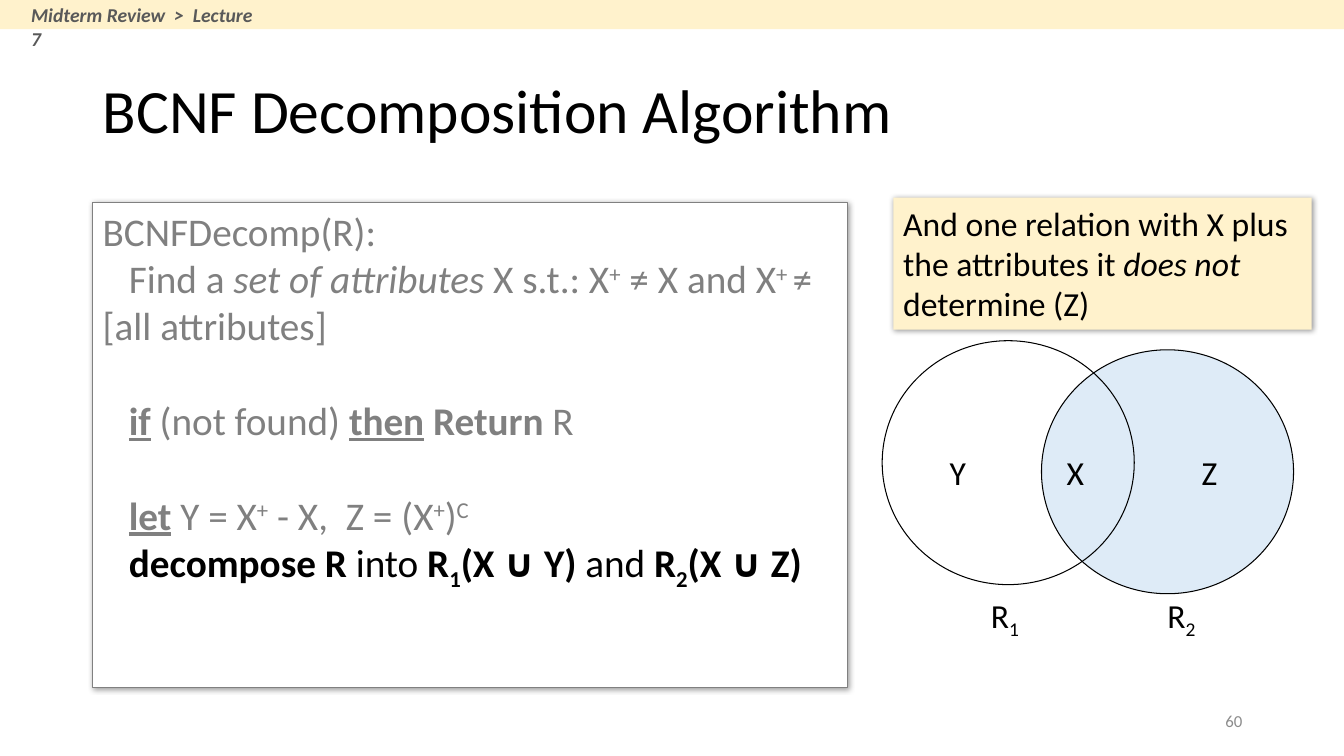
import dataclasses
import typing

import lxml.etree
import pptx
import pptx.dml.color
import pptx.enum.shapes
import pptx.enum.text
import pptx.oxml.ns
import pptx.util

Inches = pptx.util.Inches
Pt = pptx.util.Pt
RGBColor = pptx.dml.color.RGBColor
Kind = pptx.enum.shapes.MSO_SHAPE
Align = pptx.enum.text.PP_ALIGN
Anchor = pptx.enum.text.MSO_ANCHOR

BLACK = RGBColor(0x00, 0x00, 0x00)
WHITE = RGBColor(0xFF, 0xFF, 0xFF)
GRAY = RGBColor(0x80, 0x80, 0x80)
PALE = RGBColor(0x8C, 0x8C, 0x8C)
DARK = RGBColor(0x59, 0x59, 0x59)
CREAM = RGBColor(0xFF, 0xF2, 0xCC)
BLUE = RGBColor(0xDE, 0xEB, 0xF7)

BOLD = {"bold": True}
ITALIC = {"italic": True}
KEY = {"bold": True, "underline": True}
SUPER, SUB = 30, -25


@dataclasses.dataclass
class Run:
    text: str
    form: dict[str, typing.Any] = dataclasses.field(default_factory=dict)
    base: int = 0


@dataclasses.dataclass
class Line:
    runs: list[Run]
    color: RGBColor = BLACK
    indent: float = 0
    before: float = 0
    align: Align = Align.LEFT


@dataclasses.dataclass
class Form:
    kind: Kind
    box: tuple[float, float, float, float]
    fill: RGBColor | None = None
    edge: RGBColor | None = None
    shadow: bool = False
    size: float = 24
    lines: list[Line] = dataclasses.field(default_factory=list)


@dataclasses.dataclass
class Label:
    box: tuple[float, float, float, float]
    line: Line
    size: float = 24
    wrap: bool = False
    anchor: Anchor = Anchor.TOP


def write(frame, lines: list[Line], size: float) -> None:
    for n, line in enumerate(lines):
        para = frame.paragraphs[0] if n == 0 else frame.add_paragraph()
        para.alignment = line.align
        if line.before:
            para.space_before = Pt(line.before)
        if line.indent:
            para._p.get_or_add_pPr().set("indent", str(Inches(line.indent)))
        for part in line.runs:
            run = para.add_run()
            run.text = part.text
            form = {"name": "Calibri", "size": Pt(size)} | part.form
            for key, value in form.items():
                setattr(run.font, key, value)
            run.font.color.rgb = line.color
            if part.base:
                run._r.get_or_add_rPr().set("baseline", str(part.base * 1000))


def shade(shape) -> None:
    qn = pptx.oxml.ns.qn
    add = lxml.etree.SubElement
    effect = shape._element.spPr.find(qn("a:effectLst"))
    outer = add(effect, qn("a:outerShdw"), blurRad=str(Pt(4)), dist=str(Pt(1)),
                dir="2700000", algn="tl", rotWithShape="0")
    color = add(outer, qn("a:srgbClr"), val="000000")
    add(color, qn("a:alpha"), val="40000")


def draw(slide, form: Form) -> None:
    shape = slide.shapes.add_shape(form.kind, *map(Inches, form.box))
    shape.shadow.inherit = False
    if form.shadow:
        shade(shape)
    if form.fill is None:
        shape.fill.background()
    else:
        shape.fill.solid()
        shape.fill.fore_color.rgb = form.fill
    if form.edge is None:
        shape.line.fill.background()
    else:
        shape.line.color.rgb = form.edge
        shape.line.width = Pt(0.75)
    if form.lines:
        shape.text_frame.word_wrap = True
        shape.text_frame.vertical_anchor = Anchor.TOP
        write(shape.text_frame, form.lines, form.size)


def tag(slide, label: Label) -> None:
    frame = slide.shapes.add_textbox(*map(Inches, label.box)).text_frame
    frame.word_wrap = label.wrap
    frame.vertical_anchor = label.anchor
    write(frame, [label.line], label.size)


# Algorithm steps
STEP = 0.26
GAP = 34
CODE = [
    Line([Run("BCNFDecomp(R):")], GRAY),
    Line([Run("Find a "), Run("set of attributes ", ITALIC), Run("X s.t.: X"),
          Run("+", base=SUPER), Run(" ≠ X and X"), Run("+ ", base=SUPER),
          Run("≠ [all attributes]")], GRAY, STEP),
    Line([Run("if", KEY), Run(" (not found) "), Run("then", KEY), Run(" "),
          Run("Return", BOLD), Run(" R")], GRAY, STEP, GAP),
    Line([Run("let", KEY), Run(" Y = X"), Run("+", base=SUPER),
          Run(" - X,  Z = (X"), Run("+", base=SUPER), Run(")"),
          Run("C", base=SUPER)], GRAY, STEP, GAP),
    Line([Run("decompose R", BOLD), Run(" into "), Run("R", BOLD),
          Run("1", BOLD, SUB), Run("(X ∪ Y) ", BOLD), Run("and "),
          Run("R", BOLD), Run("2", BOLD, SUB), Run("(X ∪ Z)", BOLD)],
         BLACK, STEP),
]
NOTE = [Line([Run("And one relation with X plus the attributes it "),
              Run("does not ", ITALIC), Run("determine (Z)")])]

# Boxes, circles and top bar, back to front
FORMS = [
    Form(Kind.RECTANGLE, (0.92, 2.01, 7.49, 4.81), WHITE, GRAY, True, 28, CODE),
    Form(Kind.OVAL, (10.33, 3.47, 2.5, 2.42), BLUE, BLACK),
    Form(Kind.RECTANGLE, (8.86, 1.96, 4.15, 1.31), CREAM, None, True, 24, NOTE),
    Form(Kind.OVAL, (8.75, 3.38, 2.5, 2.42), None, BLACK),
    Form(Kind.RECTANGLE, (0, 0, 13.33, 0.29), CREAM),
]

# Set names, relation names, header and page number
LABELS = [Label((x, 4.43, 0.38, 0.5), Line([Run(name)]))
          for name, x in (("Y", 9.32), ("X", 10.48), ("Z", 11.82))]
LABELS += [Label((x, 5.85, 0.5, 0.5), Line([Run("R"), Run(num, base=SUB)]))
           for num, x in (("1", 9.73), ("2", 11.48))]
LABELS += [
    Label((0.21, -0.02, 2.48, 0.34),
          Line([Run("Midterm Review  >  Lecture 7", BOLD | ITALIC)], DARK),
          14, True),
    Label((9.42, 6.95, 3, 0.4), Line([Run("60")], PALE, align=Align.RIGHT),
          12, True, Anchor.MIDDLE),
]


def main() -> None:
    deck = pptx.Presentation()
    deck.slide_width, deck.slide_height = Inches(13.33), Inches(7.5)
    slide = deck.slides.add_slide(deck.slide_layouts[5])

    # Title
    title = slide.shapes.title
    place = dict(zip(("left", "top", "width", "height"),
                     map(Inches, (0.92, 0.4, 11.5, 1.45))))
    for key, value in place.items():
        setattr(title, key, value)
    frame = title.text_frame
    frame.auto_size = pptx.enum.text.MSO_AUTO_SIZE.NONE
    frame.vertical_anchor = Anchor.MIDDLE
    write(frame, [Line([Run("BCNF Decomposition Algorithm")])], 44)
    frame.paragraphs[0].line_spacing = 0.9

    for form in FORMS:
        draw(slide, form)
    for label in LABELS:
        tag(slide, label)
    deck.save("out.pptx")


if __name__ == "__main__":
    main()
